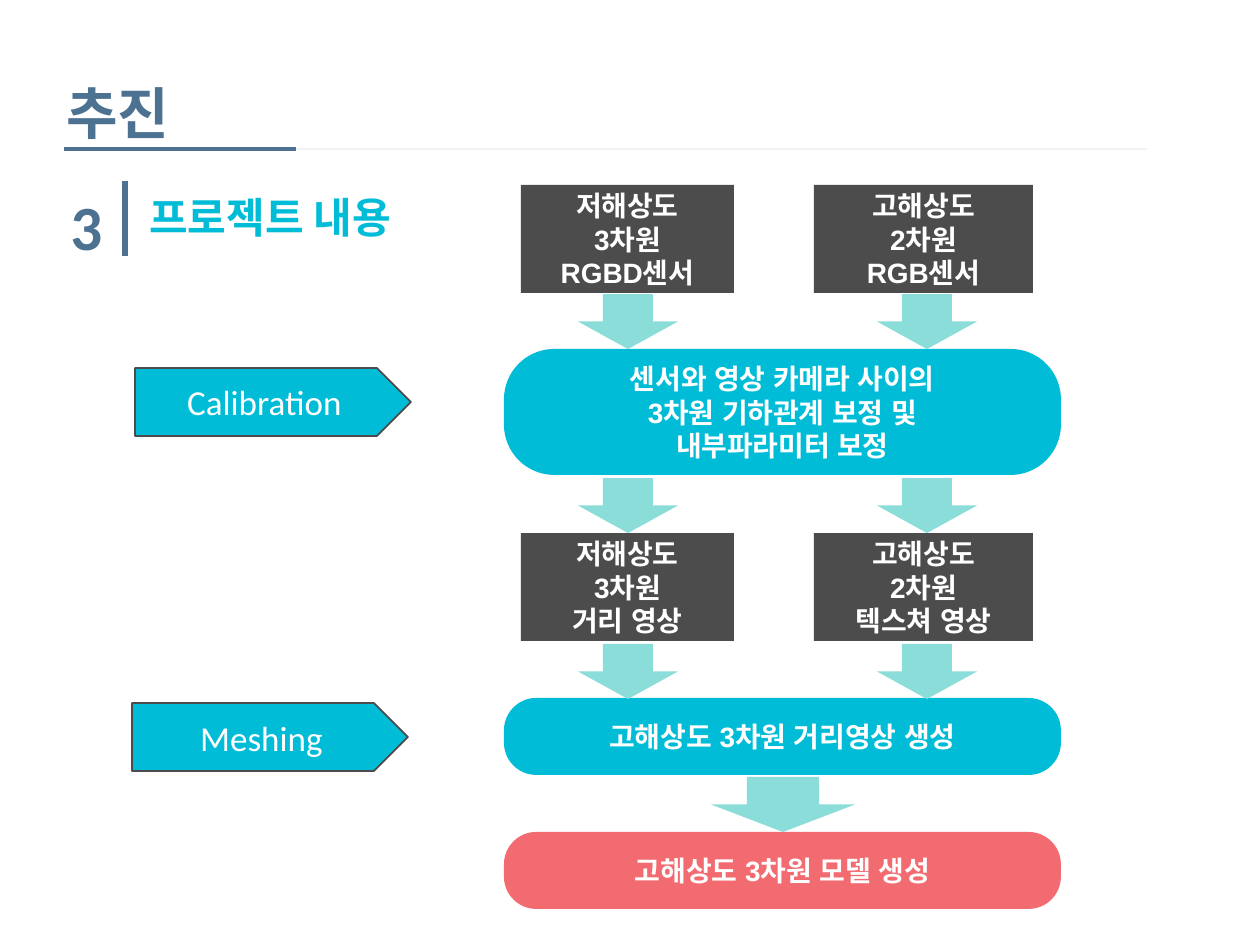
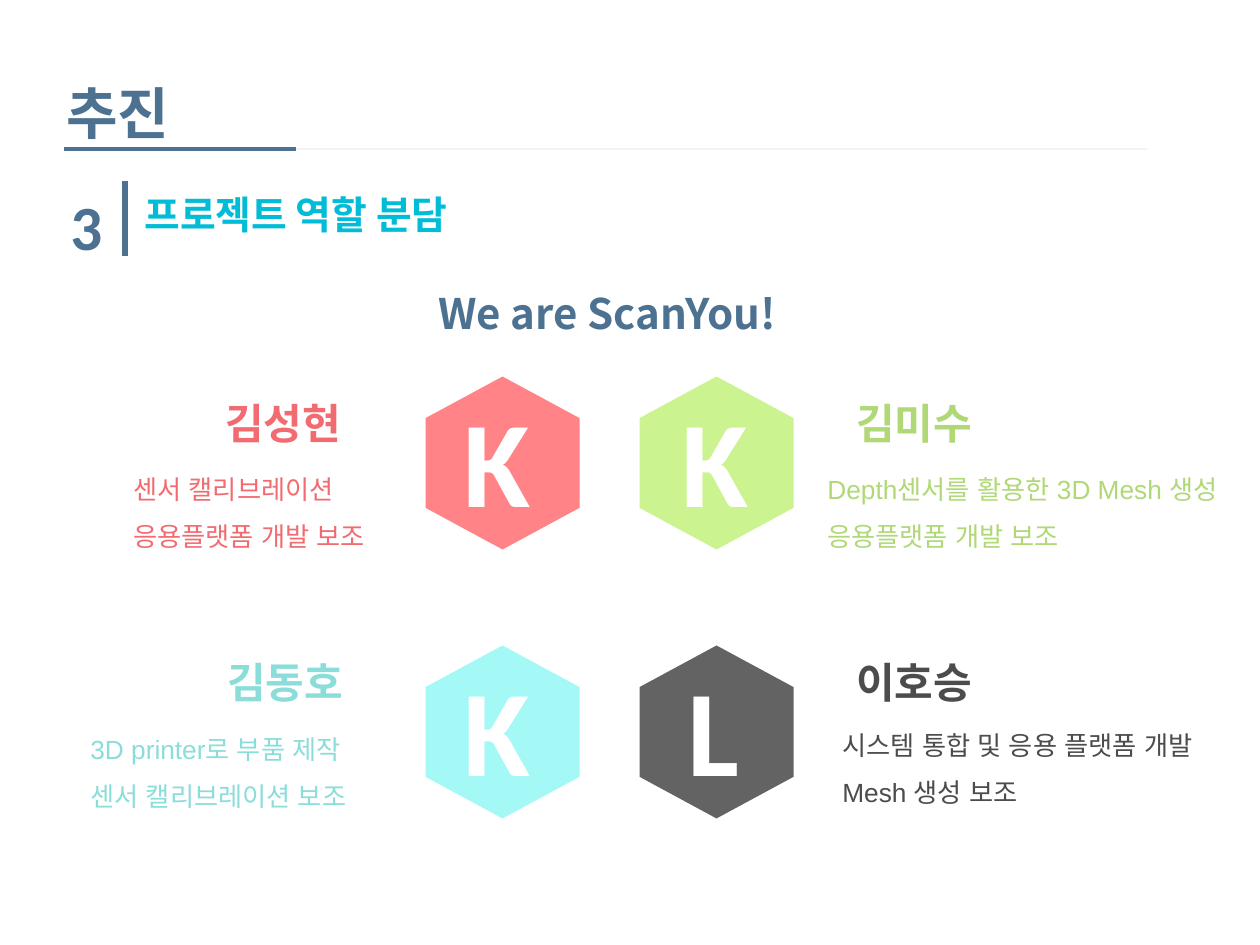
"""Build the two project slides: processing flow and team roles."""
from dataclasses import dataclass

from lxml import etree
from pptx import Presentation, util as u
from pptx.dml.color import RGBColor
from pptx.enum import shapes, text
from pptx.oxml import ns


@dataclass(frozen=True)
class Theme:
    """Colours, fonts and type sizes of the slides."""
    navy: str = "4D7191"
    rule: str = "EFF3F4"
    cyan: str = "00BCD7"
    coral: str = "F26B70"
    green: str = "B0D877"
    mint: str = "8BDDDA"
    dark: str = "4C4C4C"
    white: str = "FFFFFF"
    coral_badge: str = "FF8387"
    green_badge: str = "CBF38F"
    mint_badge: str = "A4F9F7"
    dark_badge: str = "636363"
    heading_font: str = "Noto Sans CJK KR"
    body_font: str = "Arial"
    label_font: str = "Calibri"
    title: float = 32
    number: float = 36
    subtitle: float = 24
    long_subtitle: float = 22.2
    label: float = 20
    step: float = 16
    role: float = 15
    initial: float = 70


class Deck:
    """Draw styled elements on the current slide."""
    EMU_PER_PX = 914400 / 126

    def __init__(self, theme):
        """Start an empty presentation of 10 by 7.5 inches."""
        self.theme = theme
        self.presentation = Presentation()
        self.presentation.slide_width = self.emu(1260)
        self.presentation.slide_height = self.emu(945)
        self.slide = None

    def emu(self, px):
        """Convert px to EMU."""
        return u.Emu(round(px * self.EMU_PER_PX))

    def box(self, *lengths):
        """Convert several px lengths to EMU."""
        return [self.emu(px) for px in lengths]

    def new_slide(self, title, number):
        """Add a blank slide with the shared heading."""
        theme = self.theme
        self.slide = self.presentation.slides.add_slide(self.presentation.slide_layouts[6])
        self.line(125, 181, 125, 256, theme.navy, 3)
        self.line(64, 149, 296, 149, theme.navy, 2.75)
        self.line(296, 149, 1147, 149, theme.rule, 1)
        self.text(54, 72, 433, 94, title, theme.title, theme.navy, theme.heading_font, True)
        self.text(58, 181, 98, 105, number, theme.number, theme.navy, theme.label_font, True)

    def line(self, x1, y1, x2, y2, color, width):
        """Draw a straight line without shadow."""
        connector = self.slide.shapes.add_connector(
            shapes.MSO_CONNECTOR.STRAIGHT, *self.box(x1, y1, x2, y2))
        connector.line.color.rgb = RGBColor.from_string(color)
        connector.line.width = u.Pt(width)
        etree.SubElement(connector._element.spPr, ns.qn("a:effectLst"))

    def fill_text(self, frame, content, size, color, font, bold, align=None, spacing=None):
        """Fill a text frame and format its runs."""
        frame.word_wrap = True
        frame.text = content
        for paragraph in frame.paragraphs:
            paragraph.alignment = align
            paragraph.line_spacing = spacing
            for run in paragraph.runs:
                run.font.size = u.Pt(size)
                run.font.bold = bold
                run.font.name = font
                run.font.color.rgb = RGBColor.from_string(color)
                east_asian = etree.SubElement(run._r.get_or_add_rPr(), ns.qn("a:ea"))
                east_asian.set("typeface", font)

    def text(self, left, top, width, height, content, size, color, font,
             bold=False, spacing=None):
        """Add a text box."""
        textbox = self.slide.shapes.add_textbox(*self.box(left, top, width, height))
        self.fill_text(textbox.text_frame, content, size, color, font, bold, spacing=spacing)

    def shape(self, kind, left, top, width, height, fill, outline=None, adjust=None):
        """Add a flat preset shape."""
        shape = self.slide.shapes.add_shape(kind, *self.box(left, top, width, height))
        shape.shadow.inherit = False
        shape.fill.solid()
        shape.fill.fore_color.rgb = RGBColor.from_string(fill)
        if outline:
            shape.line.color.rgb = RGBColor.from_string(outline)
            shape.line.width = u.Pt(1)
        else:
            shape.line.fill.background()
        if adjust is not None:
            shape.adjustments[0] = adjust
        return shape

    def caption(self, shape, content, size, font, bold):
        """Put white centred text in a shape."""
        shape.text_frame.vertical_anchor = text.MSO_ANCHOR.MIDDLE
        self.fill_text(shape.text_frame, content, size, self.theme.white, font, bold,
                       text.PP_ALIGN.CENTER)

    def data_box(self, left, top, width, content):
        """Add a dark box for sensor or image data."""
        shape = self.shape(shapes.MSO_SHAPE.RECTANGLE, left, top, width, 108, self.theme.dark)
        self.caption(shape, content, self.theme.step, self.theme.body_font, True)

    def process(self, top, height, content, fill, rounding):
        """Add a wide rounded processing step."""
        shape = self.shape(shapes.MSO_SHAPE.ROUNDED_RECTANGLE, 504, top, 557, height, fill,
                           adjust=rounding)
        self.caption(shape, content, self.theme.step, self.theme.body_font, True)

    def down_arrow(self, center, top, width=100):
        """Add a block arrow centred on a flow column."""
        self.shape(shapes.MSO_SHAPE.DOWN_ARROW, center - width // 2, top, width, 55,
                   self.theme.mint)

    def phase(self, left, top, content):
        """Add a pentagon naming a phase."""
        shape = self.shape(shapes.MSO_SHAPE.PENTAGON, left, top, 276, 68,
                           self.theme.cyan, self.theme.dark)
        self.caption(shape, content, self.theme.label, self.theme.label_font, False)

    def badge(self, center_x, center_y, fill, initial, initial_left):
        """Add an upright hexagon with an initial."""
        hexagon = self.shape(shapes.MSO_SHAPE.HEXAGON, center_x - 86, center_y - 77, 173, 154,
                             fill, adjust=0.27)
        hexagon.rotation = 90
        self.text(initial_left, center_y - 84, 155, 161, initial, self.theme.initial,
                  self.theme.white, self.theme.label_font, True)


def flow_slide(deck):
    """Draw the processing flow."""
    theme = deck.theme
    deck.new_slide("추진", "3")
    deck.text(137, 185, 367, 71, "프로젝트 내용", theme.subtitle, theme.cyan,
              theme.heading_font, True)
    columns = [
        (521, 213, "저해상도\n3차원\nRGBD센서", "저해상도\n3차원\n거리 영상"),
        (814, 219, "고해상도\n2차원\nRGB센서", "고해상도\n2차원\n텍스쳐 영상"),
    ]
    for left, width, sensor, image in columns:
        deck.data_box(left, 185, width, sensor)
        deck.data_box(left, 533, width, image)
    deck.process(349, 126, "센서와 영상 카메라 사이의\n3차원 기하관계 보정 및\n내부파라미터 보정",
                 theme.cyan, 0.4)
    deck.process(698, 77, "고해상도 3차원 거리영상 생성", theme.cyan, 0.42)
    deck.process(832, 77, "고해상도 3차원 모델 생성", theme.coral, 0.42)
    for top in (294, 478, 644):
        for center in (628, 927):
            deck.down_arrow(center, top)
    deck.down_arrow(783, 777, 144)
    deck.phase(135, 368, "Calibration")
    deck.phase(132, 703, "Meshing")


def team_slide(deck):
    """Draw the team roles."""
    theme = deck.theme
    deck.new_slide("추진", "3")
    deck.text(132, 184, 367, 71, "프로젝트 역할 분담", theme.long_subtitle, theme.cyan,
              theme.heading_font, True)
    deck.text(426, 281, 367, 71, "We are ScanYou!", theme.subtitle, theme.navy,
              theme.heading_font, True)
    members = [
        ("김성현", "K", theme.coral, theme.coral_badge, 451, (213, 391), (121, 451, 305, 103),
         "센서 캘리브레이션\n응용플랫폼 개발 보조"),
        ("김미수", "K", theme.green, theme.green_badge, 669, (844, 391), (815, 451, 445, 156),
         "Depth센서를 활용한 3D Mesh 생성\n응용플랫폼 개발 보조"),
        ("김동호", "K", theme.mint, theme.mint_badge, 451, (215, 650), (78, 711, 398, 108),
         "3D printer로 부품 제작\n센서 캘리브레이션 보조"),
        ("이호승", "L", theme.dark, theme.dark_badge, 675, (844, 650), (830, 707, 416, 102),
         "시스템 통합 및 응용 플랫폼 개발\nMesh 생성 보조"),
    ]
    for index, member in enumerate(members):
        name, initial, color, fill, initial_left, name_at, role_at, role = member
        row, column = divmod(index, 2)
        deck.badge(502 + 214 * column, 463 + 269 * row, fill, initial, initial_left)
        deck.text(*name_at, 200, 63, name, theme.subtitle, color, theme.body_font, True)
        deck.text(*role_at, role, theme.role, color, theme.body_font, spacing=1.5)


def main():
    """Build and save the slides."""
    deck = Deck(Theme())
    flow_slide(deck)
    team_slide(deck)
    deck.presentation.save("out.pptx")


if __name__ == "__main__":
    main()
